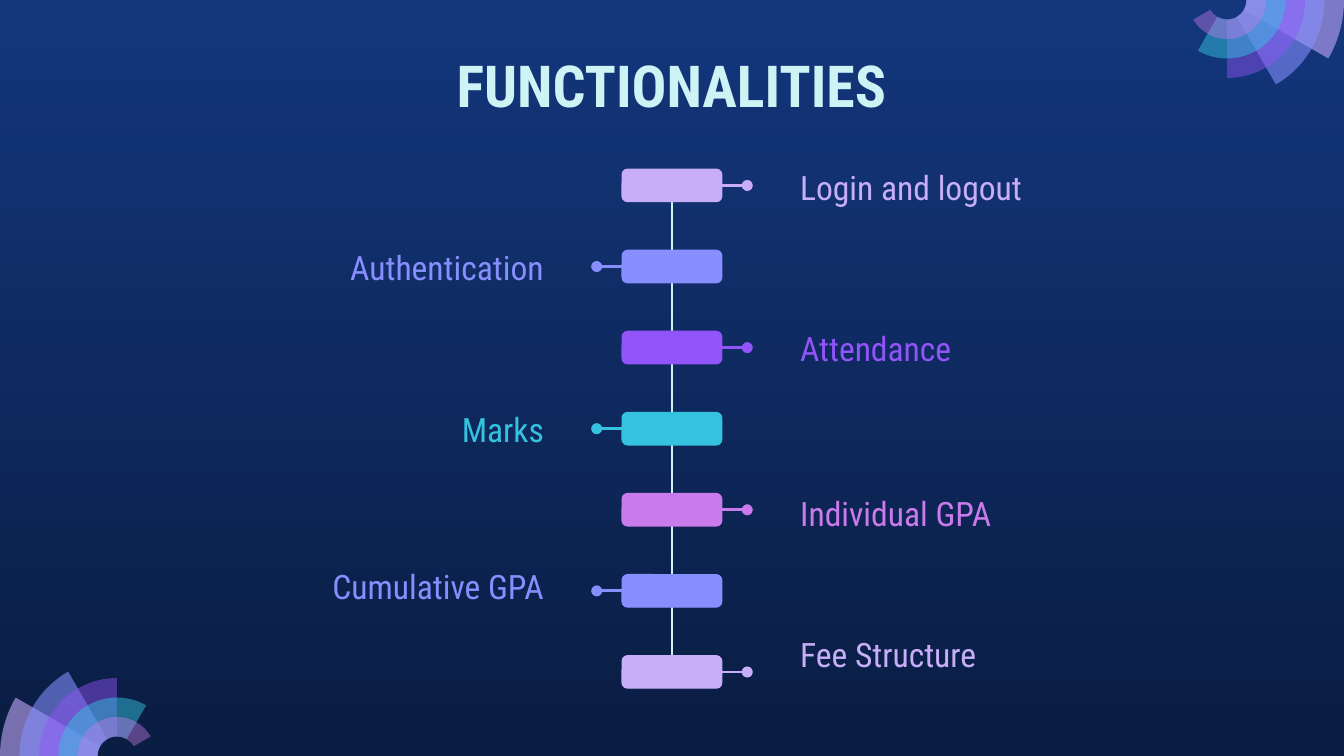
from math import cos, sin, tan, radians
from lxml.etree import Element, SubElement as Sub
from pptx import Presentation
from pptx.dml.color import RGBColor as RGB
from pptx.enum.shapes import MSO_CONNECTOR as Link, MSO_SHAPE as Shape
from pptx.enum.text import MSO_ANCHOR as Anchor, PP_ALIGN as Align
from pptx.oxml.ns import qn
from pptx.util import Inches, Pt

HUES = {
    "top": "13367C", "base": "0A1D42", "pale": "CEF3F5", "lilac": "C8AEF8",
    "blue": "878FFF", "violet": "9154F8", "teal": "35C2DF", "pink": "CA7BEB",
    "mist": "C8ACFD",
}
FONT = "Roboto Condensed"
WIDE, HIGH = 10, 5.625

deck = Presentation()
deck.slide_width, deck.slide_height = Inches(WIDE), Inches(HIGH)
slide = deck.slides.add_slide(deck.slide_layouts[5])
shapes = slide.shapes

back = slide.background.fill
back.gradient()
back.gradient_angle = 270
for stop, hue in zip(back.gradient_stops, ("top", "base")):
    stop.color.rgb = RGB.from_string(HUES[hue])


def write(box, text, size, hue, align, anchor):
    frame = box.text_frame
    frame.word_wrap = True
    frame.vertical_anchor = anchor
    frame.margin_left = frame.margin_right = Inches(0.1)
    frame.margin_top = frame.margin_bottom = Inches(0.1)
    para = frame.paragraphs[0]
    para.text, para.alignment = text, align
    font = para.font
    font.name, font.size, font.bold = FONT, Pt(size), hue == "pale"
    font.color.rgb = RGB.from_string(HUES[hue])


def join(x1, y1, x2, y2, hue, dot=True):
    """Draw a straight line, with a dot at its far end if asked."""
    link = shapes.add_connector(
        Link.STRAIGHT, Inches(x1), Inches(y1), Inches(x2), Inches(y2))
    link.line.width = Pt(1.5)
    link.line.color.rgb = RGB.from_string(HUES[hue])
    if dot:
        Sub(link.line._get_or_add_ln(), qn("a:tailEnd"), type="oval")
    Sub(link._element.spPr, qn("a:effectLst"))


# Corner fans: each ring is one step smaller and sweeps 30 degrees further
RINGS = [("mist", 58), ("blue", 58), ("violet", 46), ("teal", 49), ("pink", 42)]
STEP = 0.145
MID_X, MID_Y = 6 * STEP, HIGH
for turned in (False, True):
    for i, (hue, alpha) in enumerate(RINGS):
        rim, end = (6 - i) * STEP, 30 * (i + 1)
        peak = min(end, 90)
        arcs = [(rim, peak, 0), (STEP, 0, peak)]
        if end > peak:
            arcs += [(STEP, peak, end), (rim, end, peak)]

        # Each arc is one Bezier curve; straight edges join rim and hole
        dots, bends = [], []
        for size, start, stop in arcs:
            a, b = radians(start), radians(stop)
            k = 4 / 3 * tan((b - a) / 4)
            curve = [(Inches(MID_X - size * x), Inches(MID_Y - size * y))
                     for x, y in ((cos(a), sin(a)),
                                  (cos(a) - k * sin(a), sin(a) + k * cos(a)),
                                  (cos(b) + k * sin(b), sin(b) - k * cos(b)),
                                  (cos(b), sin(b)))]
            if not dots or dots[-1] != curve[0]:
                dots.append(curve[0])
                bends.append([])
            dots.append(curve[3])
            bends.append(curve[1:3])

        pen = shapes.build_freeform(*dots[0])
        pen.add_line_segments(dots[1:], close=True)
        ring = pen.convert_to_shape()
        edges = list(ring._element.iter(qn("a:lnTo")))
        for edge, bend in zip(edges, bends[1:]):
            if bend:
                edge.tag = qn("a:cubicBezTo")
            for n, (x, y) in enumerate(bend):
                edge.insert(n, Element(qn("a:pt"), x=str(x - ring.left),
                                       y=str(y - ring.top)))
        if turned:
            ring.left = Inches(WIDE) - ring.left - ring.width
            ring.top = Inches(HIGH) - ring.top - ring.height
            ring.rotation = 180
        ring.shadow.inherit = False
        ring.line.fill.background()
        ring.fill.solid()
        ring.fill.fore_color.rgb = RGB.from_string(HUES[hue])
        tint = ring._element.spPr.find(qn("a:solidFill"))[0]
        Sub(tint, qn("a:alpha"), val=str(alpha * 1000))

title = shapes.title
title.left, title.top = Inches(0.78), Inches(0.27)
title.width, title.height = Inches(8.43), Inches(0.63)
write(title, "FUNCTIONALITIES", 31, "pale", Align.CENTER, Anchor.TOP)

# Timeline: evenly spaced bars, labels on alternate sides
ITEMS = [
    ("Login and logout", "lilac", 1.21),
    ("Authentication", "blue", 1.81),
    ("Attendance", "violet", 2.41),
    ("Marks", "teal", 3.01),
    ("Individual GPA", "pink", 3.64),
    ("Cumulative GPA", "blue", 4.18),
    ("Fee Structure", "lilac", 4.69),
]
MID, TOP, LAST = WIDE / 2, 1.26, 4.88
BAR_W, BAR_H, STEM = 0.74, 0.24, 0.19
GAP = (LAST - TOP) / (len(ITEMS) - 1)

join(MID, TOP, MID, LAST, "pale", dot=False)
for i, (text, hue, label_y) in enumerate(ITEMS):
    y = TOP + i * GAP
    right = i % 2 == 0
    side = 1 if right else -1
    bar = shapes.add_shape(Shape.ROUNDED_RECTANGLE, Inches(MID - BAR_W / 2),
                           Inches(y), Inches(BAR_W), Inches(BAR_H))
    bar.shadow.inherit = False
    bar.fill.solid()
    bar.fill.fore_color.rgb = bar.line.color.rgb = RGB.from_string(HUES[hue])
    bar.line.width = Pt(0.75)

    edge = MID + side * BAR_W / 2
    join(edge, y + BAR_H / 2, edge + side * STEM, y + BAR_H / 2, hue)

    label = shapes.add_textbox(Inches(5.855 if right else 2.025),
                               Inches(label_y), Inches(2.12), Inches(0.43))
    write(label, text, 18, hue, Align.LEFT if right else Align.RIGHT,
          Anchor.BOTTOM)

deck.save("out.pptx")
